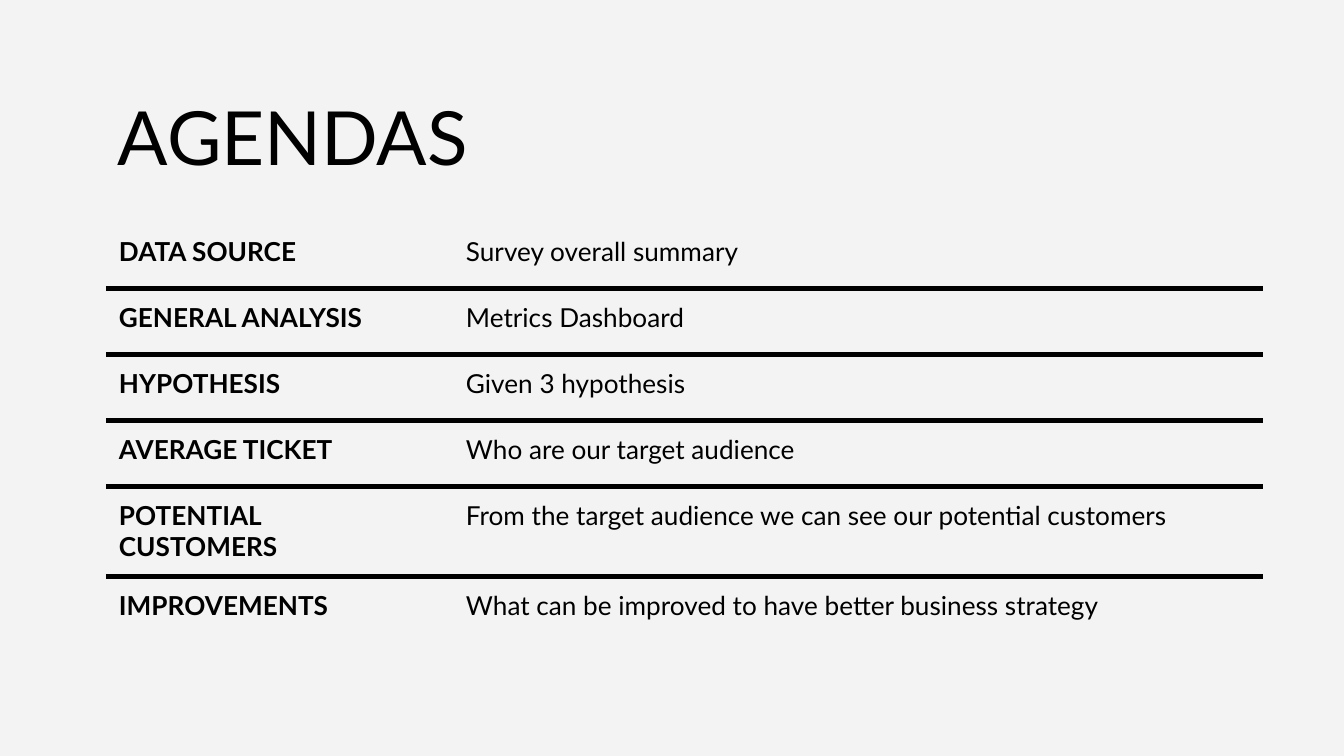
from dataclasses import dataclass

from lxml import etree
from pptx import Presentation
from pptx import util as u
from pptx.dml import color
from pptx.enum import text
from pptx.oxml import ns

EMU_PER_PX = 914400 / 134.4


def px(length):
    return u.Emu(round(length * EMU_PER_PX))


@dataclass(frozen=True)
class Theme:
    background: str = "F3F3F3"
    ink: str = "000000"
    font: str = "Lato"
    title_size: int = 40
    body_size: int = 14
    rule_width: int = 3
    inset: int = 13


class SlideBuilder:
    def __init__(self, slide, theme):
        self.slide = slide
        self.theme = theme
        fill = slide.background.fill
        fill.solid()
        fill.fore_color.rgb = color.RGBColor.from_string(theme.background)

    def add_words(self, frame, words, size, bold=False):
        paragraph = frame.paragraphs[0]
        paragraph.alignment = text.PP_ALIGN.LEFT
        run = paragraph.add_run()
        run.text = words
        run.font.name = self.theme.font
        run.font.size = u.Pt(size)
        run.font.bold = bold
        run.font.color.rgb = color.RGBColor.from_string(self.theme.ink)

    def title(self, words, left, top, width, height):
        heading = self.slide.shapes.title
        heading.left, heading.top = px(left), px(top)
        heading.width, heading.height = px(width), px(height)
        frame = heading.text_frame
        frame.auto_size = text.MSO_AUTO_SIZE.NONE
        frame.word_wrap = True
        frame.vertical_anchor = text.MSO_ANCHOR.TOP
        frame.margin_left = frame.margin_right = px(self.theme.inset)
        frame.margin_top = frame.margin_bottom = px(self.theme.inset)
        self.add_words(frame, words, self.theme.title_size)

    def border(self, cell, edge, visible):
        properties = cell._tc.get_or_add_tcPr()
        line = etree.SubElement(properties, ns.qn(f"a:{edge}"))
        line.set("w", str(u.Pt(self.theme.rule_width) if visible else 0))
        if visible:
            fill = etree.SubElement(line, ns.qn("a:solidFill"))
            etree.SubElement(fill, ns.qn("a:srgbClr")).set("val", self.theme.ink)
        else:
            etree.SubElement(line, ns.qn("a:noFill"))

    def cell(self, cell, words, left_inset, bold, rule_above, rule_below):
        edges = {"lnL": False, "lnR": False, "lnT": rule_above, "lnB": rule_below}
        for edge, visible in edges.items():
            self.border(cell, edge, visible)
        cell.fill.background()
        cell.vertical_anchor = text.MSO_ANCHOR.TOP
        cell.margin_left = px(left_inset)
        cell.margin_right = cell.margin_top = cell.margin_bottom = px(self.theme.inset)
        self.add_words(cell.text_frame, words, self.theme.body_size, bold)

    def table(self, rows, left, top, widths, heights, left_insets):
        frame = self.slide.shapes.add_table(
            len(rows), len(widths), px(left), px(top), px(sum(widths)), px(sum(heights)))
        grid = frame.table
        grid.first_row = grid.horz_banding = False
        for column, width in zip(grid.columns, widths):
            column.width = px(width)
        last = len(rows) - 1
        for r, entries in enumerate(rows):
            grid.rows[r].height = px(heights[r])
            for c, words in enumerate(entries):
                self.cell(grid.cell(r, c), words, left_insets[c],
                          bold=c == 0, rule_above=r > 0, rule_below=r < last)


AGENDA = [
    ("DATA SOURCE", "Survey overall summary"),
    ("GENERAL ANALYSIS", "Metrics Dashboard"),
    ("HYPOTHESIS", "Given 3 hypothesis"),
    ("AVERAGE TICKET", "Who are our target audience"),
    ("POTENTIAL CUSTOMERS", "From the target audience we can see our potential customers"),
    ("IMPROVEMENTS", "What can be improved to have better business strategy"),
]


def main():
    deck = Presentation()
    deck.slide_width, deck.slide_height = px(1344), px(756)
    builder = SlideBuilder(deck.slides.add_slide(deck.slide_layouts[5]), Theme())
    builder.title("AGENDAS", 105, 78, 1134, 85)
    row_height, wrapped_height = 66, 90
    heights = [wrapped_height if topic == "POTENTIAL CUSTOMERS" else row_height
               for topic, _ in AGENDA]
    builder.table(AGENDA, 106, 223, widths=(333, 824), heights=heights,
                  left_insets=(13, 27))
    deck.save("out.pptx")


if __name__ == "__main__":
    main()
